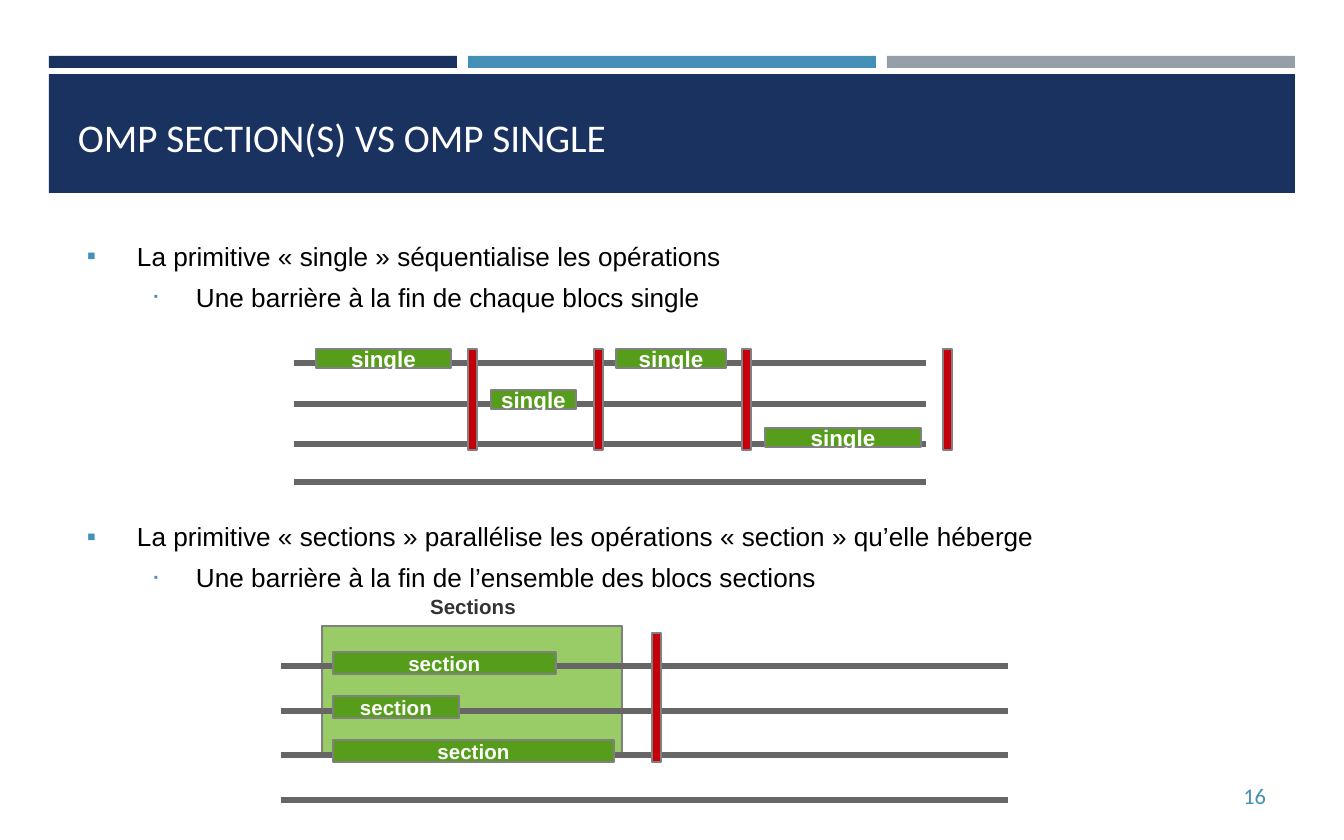
import pptx
import pptx.dml.color
import pptx.enum.shapes
import pptx.enum.text
import pptx.oxml.ns
import pptx.util
from lxml import etree

PX = 914400 / 134.4  # EMU per px
qn = pptx.oxml.ns.qn
ANCHOR = pptx.enum.text.MSO_ANCHOR
ALIGN = pptx.enum.text.PP_ALIGN
NAVY, BLUE, SILVER = "1A3260", "4590B8", "969FA7"
GREEN, LIGHT_GREEN, RED, GREY = "579D1C", "99CC66", "C5000B", "666666"


def color(value):
    return pptx.dml.color.RGBColor.from_string(value)


def box(x, y, w, h, fill=None, line=None, text=None, size=12, ink="FFFFFF",
        font="Arial", bold=True, align=ALIGN.CENTER, anchor=ANCHOR.MIDDLE,
        inset=(0, 0), wrap=False):
    """Add a rectangle, or a text box when there is no fill."""
    at = [round(v * PX) for v in (x, y, w, h)]
    if fill:
        sp = s.shapes.add_shape(pptx.enum.shapes.MSO_SHAPE.RECTANGLE, *at)
        sp.shadow.inherit = False
        sp.fill.solid()
        sp.fill.fore_color.rgb = color(fill)
        if line:
            sp.line.color.rgb = color(line)
            sp.line.width = pptx.util.Pt(0.75)
        else:
            sp.line.fill.background()
    else:
        sp = s.shapes.add_textbox(*at)
    tf = sp.text_frame
    tf.word_wrap = wrap
    tf.vertical_anchor = anchor
    tf.margin_left = tf.margin_right = round(inset[0] * PX)
    tf.margin_top = tf.margin_bottom = round(inset[1] * PX)
    if text:
        p = tf.paragraphs[0]
        p.alignment = align
        r = p.add_run()
        r.text = text
        r.font.size = pptx.util.Pt(size)
        r.font.name = font
        r.font.bold = bold
        r.font.color.rgb = color(ink)
    return sp


prs = pptx.Presentation()
prs.slide_width = pptx.util.Inches(10)
prs.slide_height = pptx.util.Inches(6.25)
s = prs.slides.add_slide(prs.slide_layouts[6])

# Header bars and title band
for i, fill in enumerate((NAVY, BLUE, SILVER)):
    box(49 + 419 * i, 56, 408, 12, fill)
box(49, 74, 1246, 119, NAVY)
box(65, 43, 1216, 121, text="OMP SECTION(S) VS OMP SINGLE", size=21, font="Calibri",
    bold=False, align=ALIGN.LEFT, anchor=ANCHOR.BOTTOM, inset=(13, 4), wrap=True)

# Slide number
box(1164, 773, 115, 45, text="16", size=12, ink=BLUE, font="Calibri", bold=False,
    align=ALIGN.RIGHT, inset=(13, 7), wrap=True)

# Bulleted text: level, space before in points, wording
bullets = [
    (0, 0, "La primitive « single » séquentialise les opérations"),
    (1, 5.3, "Une barrière à la fin de chaque blocs single"),
    (0, 111.4, "La primitive « sections » parallélise les opérations « section » qu’elle héberge"),
    (1, 5.3, "Une barrière à la fin de l’ensemble des blocs sections"),
]
tf = box(74, 233, 1195, 472, anchor=ANCHOR.TOP, inset=(13, 7), wrap=True).text_frame
for i, (level, before, text) in enumerate(bullets):
    p = tf.add_paragraph() if i else tf.paragraphs[0]
    p.level = level
    p.space_before = pptx.util.Pt(before)
    r = p.add_run()
    r.text = text
    r.font.size = pptx.util.Pt(14)
    r.font.name = "Arial"
    r.font.color.rgb = color("000000")
    pPr = p._p.get_or_add_pPr()
    margin, hang = ((50, 50), (109, 42))[level]
    pPr.set("marL", str(round(margin * PX)))
    pPr.set("indent", str(round(-hang * PX)))
    clr = etree.SubElement(pPr, qn("a:buClr"))
    etree.SubElement(clr, qn("a:srgbClr"), val=BLUE)
    if level:
        etree.SubElement(pPr, qn("a:buSzPct"), val="45000")
    etree.SubElement(pPr, qn("a:buFont"), typeface="Arial")
    etree.SubElement(pPr, qn("a:buChar"), char="▪")

# Panel around the sections
box(322, 626, 300, 131, LIGHT_GREEN, "808080")
box(398, 593, 150, 26, text="Sections", size=11, ink="333333")

# Both timelines: thread lines, then blocks, then barriers
timelines = [
    dict(label="single", size=12, ends=(294, 926), threads=(363, 404, 444, 482),
         blocks=((316, 349, 135), (491, 390, 85), (616, 349, 110), (765, 428, 156)),
         block_h=19, barriers=(468, 594, 742, 943), barrier_y=349, barrier_h=101),
    dict(label="section", size=11, ends=(281, 1008), threads=(666, 711, 755, 800),
         blocks=((333, 652, 223), (333, 696, 126), (333, 740, 281)),
         block_h=22, barriers=(652,), barrier_y=633, barrier_h=129),
]
for t in timelines:
    x1, x2 = t["ends"]
    for y in t["threads"]:
        c = s.shapes.add_connector(pptx.enum.shapes.MSO_CONNECTOR.STRAIGHT,
                                   *[round(v * PX) for v in (x1, y, x2, y)])
        c.line.color.rgb = color(GREY)
        c.line.width = pptx.util.Pt(3)
        etree.SubElement(c._element.spPr, qn("a:effectLst"))
    for x, y, w in t["blocks"]:
        box(x, y, w, t["block_h"], GREEN, "808080", t["label"], t["size"])
    for x in t["barriers"]:
        box(x, t["barrier_y"], 9, t["barrier_h"], RED, "808080")

prs.save("out.pptx")
